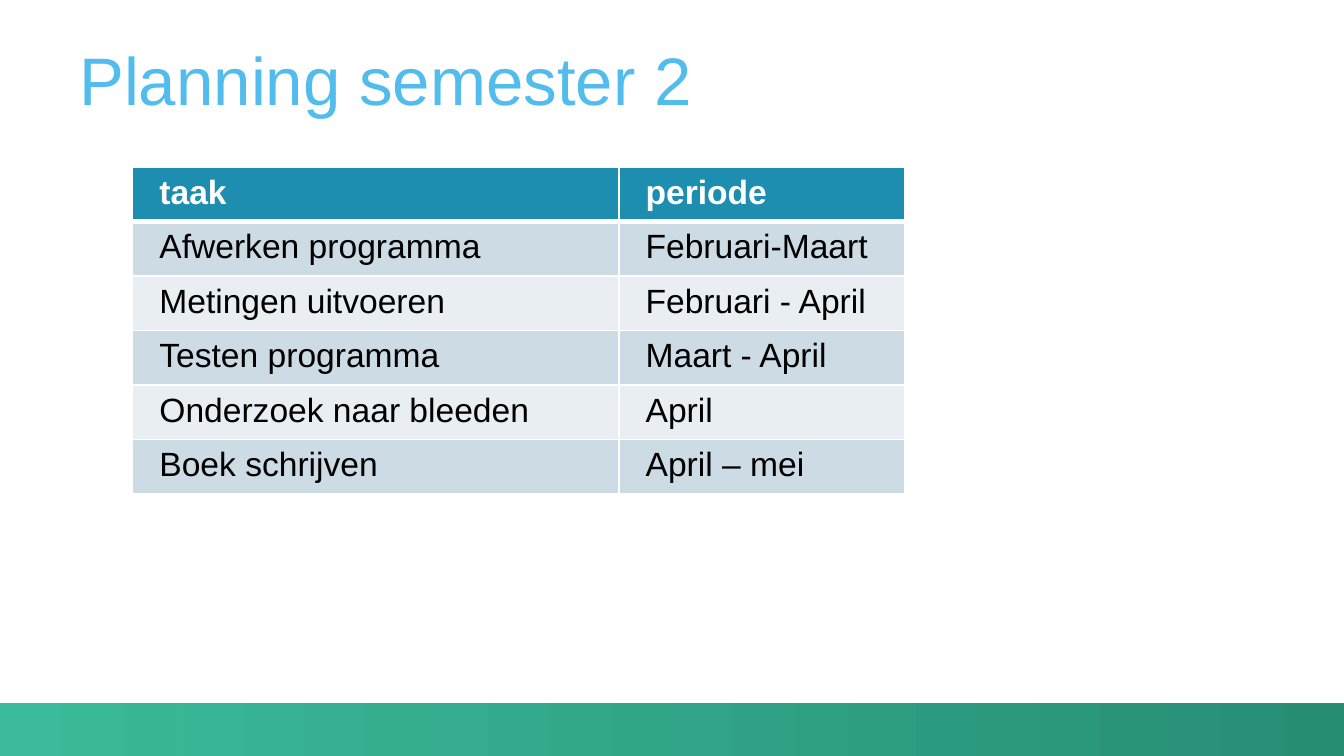
from lxml.etree import SubElement
from pptx import Presentation
from pptx.dml.color import RGBColor
from pptx.enum.shapes import MSO_SHAPE as SHAPE
from pptx.enum.text import MSO_ANCHOR as ANCHOR, MSO_AUTO_SIZE as AUTO, PP_ALIGN as ALIGN
from pptx.oxml.ns import qn
from pptx.util import Pt


def set_color(target, value):
    target.rgb = RGBColor.from_string(value)


def add_border(tc_pr, side, width):
    ln = SubElement(tc_pr, qn(f"a:ln{side}"), w=str(Pt(width)))
    SubElement(SubElement(ln, qn("a:solidFill")), qn("a:srgbClr"), val="FFFFFF")


prs = Presentation()
prs.slide_width, prs.slide_height = Pt(720), Pt(405)
slide = prs.slides.add_slide(prs.slide_layouts[5])

bar = slide.shapes.add_shape(SHAPE.RECTANGLE, Pt(0), Pt(376.5), Pt(720), Pt(32.5))
bar.shadow.inherit = False
bar.line.fill.background()
bar.fill.gradient()
bar.fill.gradient_angle = 0
for stop, position, color in zip(bar.fill.gradient_stops, (0, 1), ("3BBB99", "278E74")):
    stop.position = position
    set_color(stop.color, color)

title = slide.shapes.title
title.left, title.top, title.width, title.height = Pt(42.5), Pt(11), Pt(656), Pt(53)
tf = title.text_frame
tf.text = "Planning semester 2"
frame_format = {
    "margin_left": 0, "margin_right": 0, "margin_top": 0, "margin_bottom": 0,
    "vertical_anchor": ANCHOR.BOTTOM, "auto_size": AUTO.NONE, "word_wrap": True,
}
for name, value in frame_format.items():
    setattr(tf, name, value)
p = tf.paragraphs[0]
p.alignment = ALIGN.LEFT
r = p.runs[0]
for name, value in {"name": "Arial", "size": Pt(36)}.items():
    setattr(r.font, name, value)
set_color(r.font.color, "52BDEC")

rows = [
    ("taak", "periode"),
    ("Afwerken programma", "Februari-Maart"),
    ("Metingen uitvoeren", "Februari - April"),
    ("Testen programma", "Maart - April"),
    ("Onderzoek naar bleeden", "April"),
    ("Boek schrijven", "April – mei"),
]
col_widths = (260.5, 153)
row_height = 29.2
frame = slide.shapes.add_table(
    len(rows), len(col_widths), Pt(71), Pt(89.5),
    Pt(sum(col_widths)), Pt(row_height * len(rows)))
table = frame.table
for column, width in zip(table.columns, col_widths):
    column.width = Pt(width)

cell_format = {
    "margin_left": Pt(14.4), "margin_right": Pt(14.4),
    "margin_top": Pt(3.6), "margin_bottom": Pt(3.6),
}
for i, texts in enumerate(rows):
    header = i == 0
    fill = "1D8DB0" if header else ("E8EEF2", "CDDBE4")[i % 2]
    table.rows[i].height = Pt(row_height)
    for j, text in enumerate(texts):
        cell = table.cell(i, j)
        cell.text = text
        for name, value in cell_format.items():
            setattr(cell, name, value)
        tc_pr = cell._tc.get_or_add_tcPr()
        widths = {"L": 1, "R": 1, "T": 3 if i == 1 else 1, "B": 3 if header else 1}
        for side, width in widths.items():
            add_border(tc_pr, side, width)
        cell.fill.solid()
        set_color(cell.fill.fore_color, fill)
        r = cell.text_frame.paragraphs[0].runs[0]
        for name, value in {"name": "Arial", "size": Pt(18), "bold": header}.items():
            setattr(r.font, name, value)
        set_color(r.font.color, "FFFFFF" if header else "000000")

prs.save("out.pptx")
